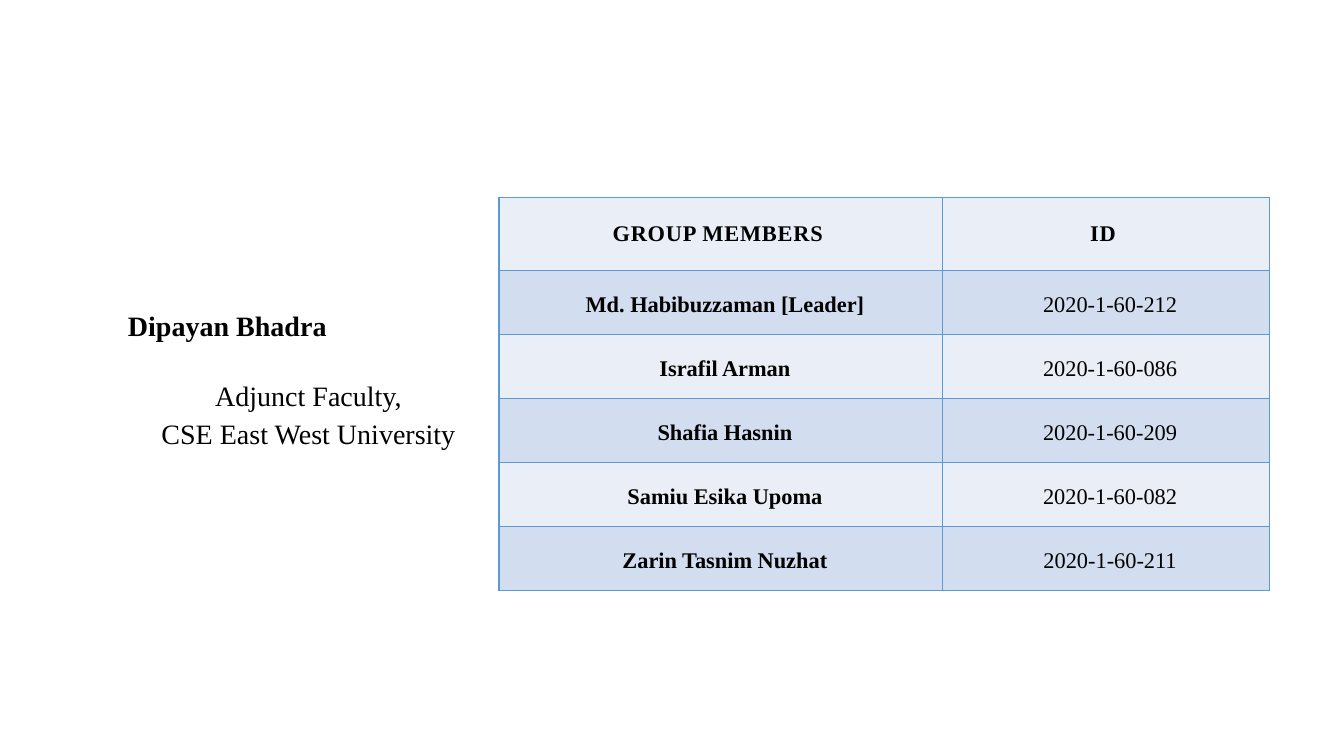
from lxml.etree import SubElement
from pptx import Presentation
from pptx.dml.color import RGBColor
from pptx.enum.text import PP_ALIGN
from pptx.oxml.ns import qn
from pptx.util import Inches, Pt

# Content
INSTRUCTOR = [  # text, bold, alignment, space after (pt)
    ("Dipayan Bhadra", True, PP_ALIGN.LEFT, 28),
    ("Adjunct Faculty,", False, PP_ALIGN.CENTER, 6),
    ("CSE East West University", False, PP_ALIGN.CENTER, 6),
]
MEMBERS = [
    ("GROUP MEMBERS", "ID"),
    ("Md. Habibuzzaman [Leader]", "2020-1-60-212"),
    ("Israfil Arman", "2020-1-60-086"),
    ("Shafia Hasnin", "2020-1-60-209"),
    ("Samiu Esika Upoma", "2020-1-60-082"),
    ("Zarin Tasnim Nuzhat", "2020-1-60-211"),
]

# Style
FONT = "Times New Roman"
BLACK = RGBColor(0x00, 0x00, 0x00)
BORDER = RGBColor(0x5B, 0x9B, 0xD5)
BANDS = [RGBColor(0xEA, 0xEF, 0xF7), RGBColor(0xD2, 0xDE, 0xEF)]

# Layout in inches
TEXT_LEFT, TEXT_TOP, TEXT_W, TEXT_H = 1.17, 2.65, 3.78, 2.24
TABLE_LEFT, TABLE_TOP = TEXT_LEFT + TEXT_W, 1.96
COLS = [4.4, 3.24]
ROWS = [0.7] + [0.61] * (len(MEMBERS) - 1)
HEAD_INSETS = (0.22, 0.22, 0.28, 0.22)  # left, top, right, bottom
BODY_INSETS = (0.34, 0.2, 0.26, 0.15)


def write(p, text, size, bold, align, spacing):
    p.text = text
    p.alignment = align
    p.line_spacing = spacing
    font = p.runs[0].font
    font.name, font.size, font.bold = FONT, Pt(size), bold
    font.color.rgb = BLACK


def set_insets(box, insets):
    (box.margin_left, box.margin_top,
     box.margin_right, box.margin_bottom) = map(Inches, insets)


def add_borders(cell):
    tc_pr = cell._tc.get_or_add_tcPr()
    for i, side in enumerate(("lnL", "lnR", "lnT", "lnB")):
        ln = tc_pr.makeelement(qn(f"a:{side}"), {"w": str(Pt(1))})
        fill = SubElement(ln, qn("a:solidFill"))
        SubElement(fill, qn("a:srgbClr"), val=str(BORDER))
        tc_pr.insert(i, ln)


prs = Presentation()
prs.slide_width, prs.slide_height = Inches(13.33), Inches(7.5)
s = prs.slides.add_slide(prs.slide_layouts[6])

# Instructor
box = s.shapes.add_textbox(*map(Inches, (TEXT_LEFT, TEXT_TOP, TEXT_W, TEXT_H)))
tf = box.text_frame
tf.word_wrap = True
set_insets(tf, (0.1, 0.45, 0.1, 0.05))
for i, (text, bold, align, after) in enumerate(INSTRUCTOR):
    p = tf.add_paragraph() if i else tf.paragraphs[0]
    write(p, text, 20, bold, align, 0.9)
    p.space_after = Pt(after)

# Group members table
table = s.shapes.add_table(
    len(ROWS), len(COLS), Inches(TABLE_LEFT), Inches(TABLE_TOP),
    Inches(sum(COLS)), Inches(sum(ROWS))).table
for col, width in zip(table.columns, COLS):
    col.width = Inches(width)
for r, (row, height) in enumerate(zip(table.rows, ROWS)):
    row.height = Inches(height)
    for c, cell in enumerate(row.cells):
        head = r == 0
        p = cell.text_frame.paragraphs[0]
        write(p, MEMBERS[r][c], 16, head or c == 0, PP_ALIGN.CENTER, 1.07)
        if head:
            p.runs[0].font._element.set("spc", "60")
        set_insets(cell, HEAD_INSETS if head else BODY_INSETS)
        cell.fill.solid()
        cell.fill.fore_color.rgb = BANDS[r % 2]
        add_borders(cell)

prs.save("out.pptx")
